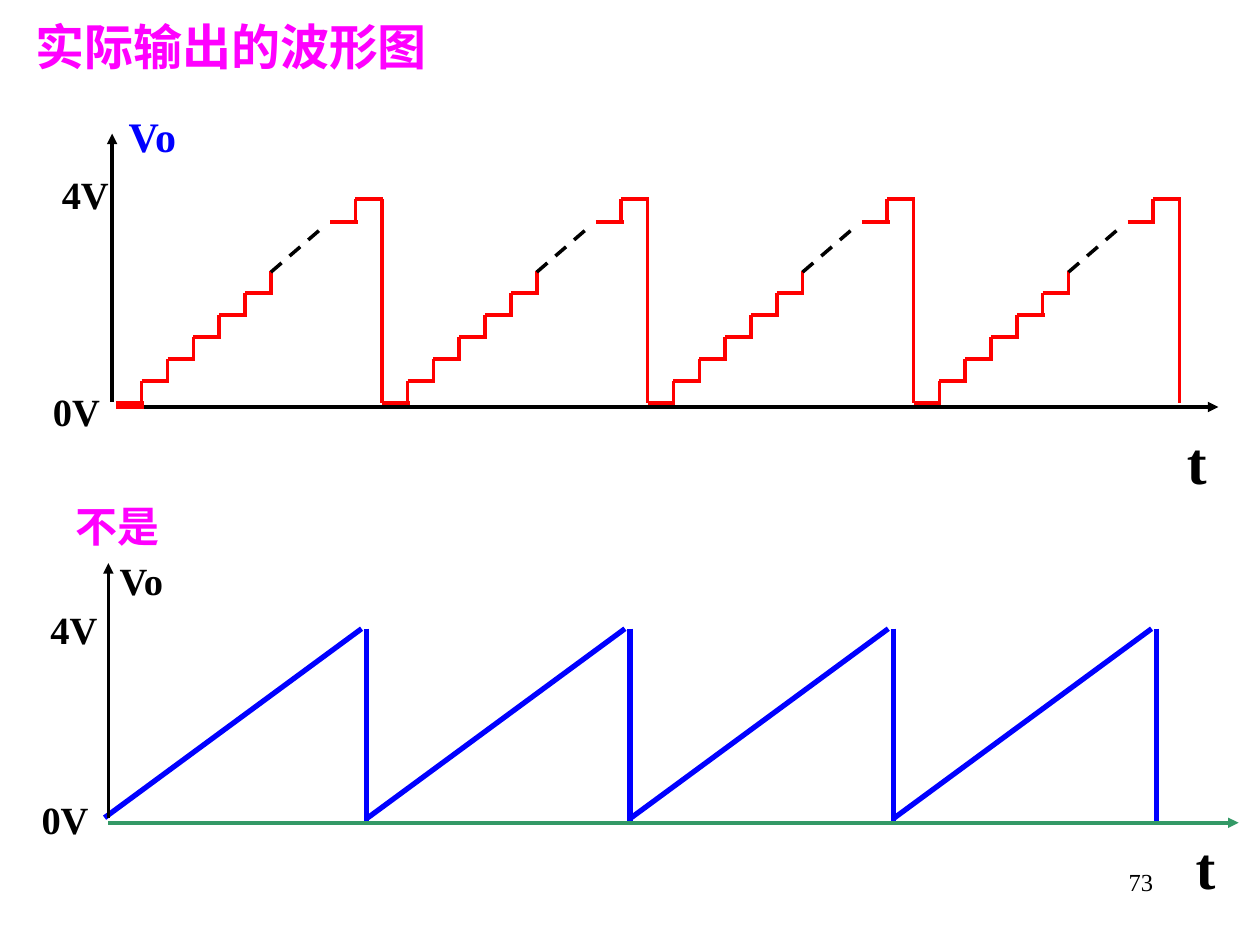
"""Build a slide comparing a staircase output waveform with a plain sawtooth."""
from lxml.etree import SubElement
from pptx import Presentation
from pptx.dml.color import RGBColor
from pptx.enum.dml import MSO_LINE
from pptx.enum.shapes import MSO_CONNECTOR
from pptx.enum.text import MSO_ANCHOR, MSO_AUTO_SIZE, PP_ALIGN
from pptx.oxml.ns import qn
from pptx.util import Inches, Pt

FONT = "Times New Roman"
BLACK, RED, BLUE, MAGENTA, GREEN = "000000", "FF0000", "0000FF", "FF00FF", "339966"
PERIODS = 4
STEPS = 6
RUN, RISE, TREAD = 1.23 / STEPS, 1.05 / STEPS, 0.22


def color(hex_code):
    """Return the colour for a hex string."""
    return RGBColor.from_string(hex_code)


def write(holder, text, *, at, size, ink=BLACK, bold=True, align=PP_ALIGN.LEFT, inset=(0, 0)):
    """Place a text holder and fill it with one formatted paragraph."""
    holder.left, holder.top, holder.width, holder.height = map(Inches, at)
    frame = holder.text_frame
    frame.auto_size = MSO_AUTO_SIZE.NONE
    frame.word_wrap = True
    frame.vertical_anchor = MSO_ANCHOR.TOP
    frame.margin_left = frame.margin_right = Inches(inset[0])
    frame.margin_top = frame.margin_bottom = Inches(inset[1])
    paragraph = frame.paragraphs[0]
    paragraph.alignment = align
    run = paragraph.add_run()
    run.text = text
    run.font.name, run.font.size, run.font.bold = FONT, Pt(size), bold
    run.font.color.rgb = color(ink)


def add_label(slide, text, **style):
    """Add a text box formatted by the given style."""
    write(slide.shapes.add_textbox(0, 0, 0, 0), text, **style)


def add_line(slide, start, end, ink, width=2, dashed=False, arrow=False):
    """Draw a straight line between two points."""
    segment = slide.shapes.add_connector(MSO_CONNECTOR.STRAIGHT, *map(Inches, (*start, *end)))
    segment.line.color.rgb = color(ink)
    segment.line.width = Pt(width)
    if dashed:
        segment.line.dash_style = MSO_LINE.DASH
    if arrow:
        SubElement(segment.line._get_or_add_ln(), qn("a:tailEnd"), type="triangle")
    SubElement(segment._element.spPr, qn("a:effectLst"))


def add_stair_period(slide, left, base=3.2, top=1.58):
    """Draw one staircase period with its dashed gap and final drop."""
    for step in range(STEPS):
        x, y = left + step * RUN, base - step * RISE
        add_line(slide, (x, y), (x + TREAD, y), RED)
        add_line(slide, (x + RUN, y - RISE), (x + RUN, y + 0.01), RED)
    add_line(slide, (left + 1.23, 2.16), (left + 1.67, 1.78), BLACK, dashed=True)
    add_line(slide, (left + 1.7, 1.76), (left + 1.7 + TREAD, 1.76), RED)
    add_line(slide, (left + 1.9, top), (left + 1.9, 1.77), RED)
    add_line(slide, (left + 1.9, top), (left + 1.9 + TREAD, top), RED)
    add_line(slide, (left + 2.11, top), (left + 2.11, base), RED)


def add_ramp_period(slide, left):
    """Draw one sawtooth period."""
    add_line(slide, (left, 6.49), (left + 2.04, 4.99), BLUE, width=3)
    add_line(slide, (left + 2.08, 4.99), (left + 2.08, 6.52), BLUE, width=3)


def add_stair_chart(slide):
    """Draw the actual output waveform with its axes."""
    add_label(slide, "4V", at=(0.49, 1.36, 0.51, 0.41), size=22)
    add_label(slide, "0V", at=(0.42, 3.08, 0.5, 0.37), size=22)
    add_label(slide, "Vo", at=(0.42, 0.83, 1.58, 0.5), size=24, ink=BLUE,
              align=PP_ALIGN.CENTER, inset=(0.1, 0.05))
    add_label(slide, "t", at=(9.42, 3.37, 0.31, 0.36), size=34)
    add_line(slide, (0.96, 3.23), (9.67, 3.23), BLACK, arrow=True)
    add_line(slide, (0.89, 3.19), (0.89, 1.06), BLACK, arrow=True)
    for period in range(PERIODS):
        add_stair_period(slide, 0.92 + 2.11 * period)
    add_line(slide, (0.92, 3.23), (1.14, 3.23), RED)


def add_ramp_chart(slide):
    """Draw the contrasting sawtooth with its axes."""
    for period in range(PERIODS):
        add_ramp_period(slide, 0.83 + 2.09 * period)
    add_line(slide, (0.86, 6.53), (9.83, 6.53), GREEN, arrow=True)
    add_line(slide, (0.86, 6.49), (0.86, 4.47), BLACK, arrow=True)
    add_label(slide, "t", at=(9.49, 6.59, 0.23, 0.41), size=34)
    add_label(slide, "Vo", at=(0.95, 4.42, 0.41, 0.41), size=22)
    add_label(slide, "4V", at=(0.4, 4.81, 0.51, 0.36), size=22)
    add_label(slide, "0V", at=(0.33, 6.32, 0.5, 0.33), size=22)
    add_label(slide, "不是", at=(0.5, 3.92, 2.25, 0.5), size=24, ink=MAGENTA, inset=(0.1, 0.05))


def main():
    """Build and save the slide."""
    deck = Presentation()
    deck.slide_width, deck.slide_height = Inches(10), Inches(7.5)
    slide = deck.slides.add_slide(deck.slide_layouts[5])
    add_stair_chart(slide)
    write(slide.shapes.title, "实际输出的波形图", at=(-0.25, 0.08, 4.17, 0.57), size=28,
          ink=MAGENTA, align=PP_ALIGN.CENTER, inset=(0.1, 0.05))
    add_ramp_chart(slide)
    add_label(slide, "73", at=(7.17, 6.83, 2.08, 0.5), size=14, bold=False,
              align=PP_ALIGN.RIGHT, inset=(0.1, 0.05))
    deck.save("out.pptx")


if __name__ == "__main__":
    main()
